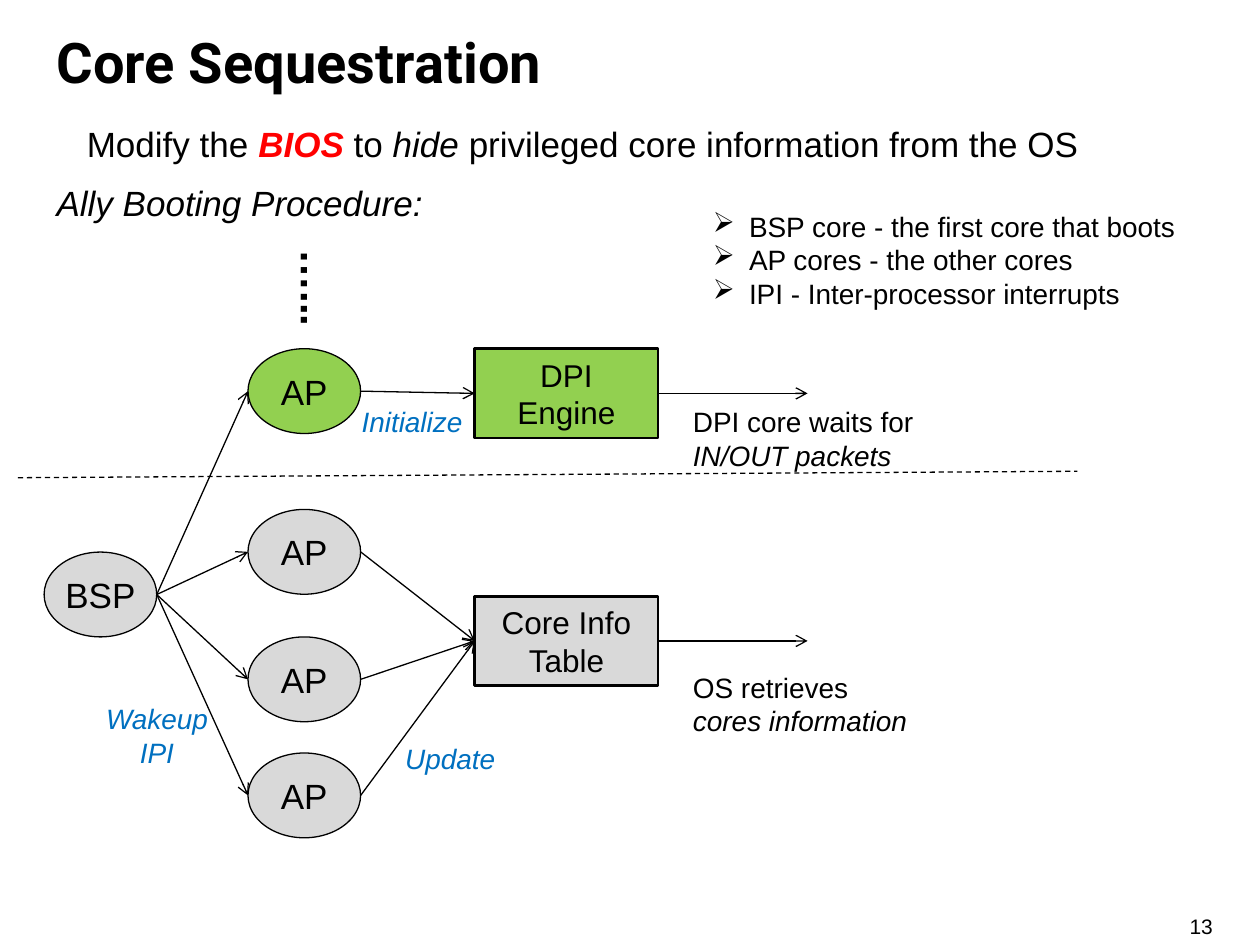
from lxml.etree import SubElement
from pptx import Presentation
from pptx.dml.color import RGBColor
from pptx.enum.dml import MSO_LINE
from pptx.enum.shapes import MSO_CONNECTOR, MSO_SHAPE
from pptx.enum.text import MSO_ANCHOR, PP_ALIGN
from pptx.oxml.ns import qn
from pptx.util import Cm, Pt

COLORS = {"black": "000000", "red": "FF0000", "blue": "0070C0",
          "gray": "D9D9D9", "green": "92D050"}

deck = Presentation()
deck.slide_width, deck.slide_height = Cm(25.4), Cm(19.05)
page = deck.slides.add_slide(deck.slide_layouts[6])


def write(box, lines, size, color="black", align=PP_ALIGN.LEFT, wrap=True):
    """Fill a shape with (text, italic) lines and return its text frame."""
    frame = box.text_frame
    frame.word_wrap = wrap
    for index, (text, italic) in enumerate(lines):
        para = frame.paragraphs[0] if index == 0 else frame.add_paragraph()
        para.text = text
        para.alignment = align
        para.font.name, para.font.size = "Arial", Pt(size)
        para.font.italic = italic
        para.font.color.rgb = RGBColor.from_string(COLORS[color])
    return frame


def add_line(start_x, start_y, end_x, end_y, arrow=True):
    line = page.shapes.add_connector(MSO_CONNECTOR.STRAIGHT, start_x, start_y, end_x, end_y)
    line.line.width = Pt(0.75)
    line.line.color.rgb = RGBColor.from_string(COLORS["black"])
    if arrow:
        SubElement(line.line._get_or_add_ln(), qn("a:tailEnd"), type="arrow")
    else:
        line.line.dash_style = MSO_LINE.DASH
    SubElement(line._element.spPr, qn("a:effectLst"))


# Title
title = page.shapes.add_textbox(Cm(0.89), Cm(0.18), Cm(23.65), Cm(2.11))
frame = write(title, [("Core Sequestration", False)], 32)
frame.vertical_anchor = MSO_ANCHOR.MIDDLE
frame.paragraphs[0].font.name = "Roboto"
frame.paragraphs[0].font.bold = True

# Key message with emphasised words
message = page.shapes.add_textbox(Cm(1.5), Cm(2.34), Cm(24.16), Cm(1.12))
para = write(message, [("", False)], 20).paragraphs[0]
for text, emphasis in [("Modify the ", ""), ("BIOS", "strong"), (" to ", ""), ("hide", "italic"),
                       (" privileged core information from the OS", "")]:
    span = para.add_run()
    span.text = text
    span.font.name, span.font.size = "Arial", Pt(20)
    span.font.bold = emphasis == "strong"
    span.font.italic = emphasis != ""
    span.font.color.rgb = RGBColor.from_string(COLORS["red" if emphasis == "strong" else "black"])

# Bulleted legend
legend = page.shapes.add_textbox(Cm(14.12), Cm(4.09), Cm(11.56), Cm(2.31))
legend_lines = ["BSP core - the first core that boots", "AP cores - the other cores",
                "IPI - Inter-processor interrupts"]
for para in write(legend, [(text, False) for text in legend_lines], 16).paragraphs:
    properties = para._p.get_or_add_pPr()
    properties.set("marL", str(Cm(0.73)))
    properties.set("indent", str(Cm(-0.73)))
    properties.insert(0, properties.makeelement(qn("a:buChar"), {"char": "➢"}))

# Nodes: kind, fill, left, top, lines
OVAL, BLOCK = MSO_SHAPE.OVAL, MSO_SHAPE.RECTANGLE
AP_LEFT, BLOCK_LEFT = 5, 9.57
node_rows = [
    (OVAL, "gray", 0.89, 11.13, ["BSP"]),
    (OVAL, "green", AP_LEFT, 7.03, ["AP"]),
    (OVAL, "gray", AP_LEFT, 10.27, ["AP"]),
    (OVAL, "gray", AP_LEFT, 12.84, ["AP"]),
    (OVAL, "gray", AP_LEFT, 15.18, ["AP"]),
    (BLOCK, "green", BLOCK_LEFT, 7.03, ["DPI", "Engine"]),
    (BLOCK, "gray", BLOCK_LEFT, 12.02, ["Core Info", "Table"]),
]
nodes = []
for kind, fill, left, top, lines in node_rows:
    round_node = kind == OVAL
    width, height = (2.27, 1.71) if round_node else (3.7, 1.8)
    node = page.shapes.add_shape(kind, Cm(left), Cm(top), Cm(width), Cm(height))
    node.shadow.inherit = False
    node.fill.solid()
    node.fill.fore_color.rgb = RGBColor.from_string(COLORS[fill])
    node.line.color.rgb = RGBColor.from_string(COLORS["black"])
    node.line.width = Pt(0.75 if round_node else 1.5)
    frame = write(node, [(text, False) for text in lines], 20 if round_node else 18,
                  align=PP_ALIGN.CENTER, wrap=not round_node)
    frame.vertical_anchor = MSO_ANCHOR.MIDDLE
    if round_node:
        frame.margin_left = frame.margin_right = frame.margin_top = frame.margin_bottom = 0
    nodes.append(node)

# Arrows run from the right edge of one node to the left edge of the next
bsp, dpi_ap, *info_aps, dpi_engine, info_table = nodes
links = [(bsp, ap) for ap in [dpi_ap, *info_aps]]
links += [(dpi_ap, dpi_engine)] + [(ap, info_table) for ap in info_aps]
for source, target in links:
    add_line(source.left + source.width, source.top + source.height // 2,
             target.left, target.top + target.height // 2)
for block in (dpi_engine, info_table):
    middle = block.top + block.height // 2
    add_line(block.left + block.width, middle, Cm(16.28), middle)

# Divider between the hidden core and the visible ones
add_line(Cm(0.36), Cm(9.63), Cm(21.72), Cm(9.5), arrow=False)

# Labels: left, top, width, height, size, color, align, (text, italic) lines
labels = [
    (0.89, 3.53, 9.07, 1.12, 20, "black", PP_ALIGN.LEFT, [("Ally Booting Procedure:", True)]),
    (13.72, 8.03, 6.17, 1.63, 16, "black", PP_ALIGN.LEFT,
     [("DPI core waits for", False), ("IN/OUT packets", True)]),
    (13.72, 13.39, 6.17, 1.63, 16, "black", PP_ALIGN.LEFT,
     [("OS retrieves", False), ("cores information", True)]),
    (1.83, 14.02, 2.67, 1.63, 16, "blue", PP_ALIGN.CENTER, [("Wakeup", True), ("IPI", True)]),
    (7.92, 14.83, 2.59, 0.94, 16, "blue", PP_ALIGN.LEFT, [("Update", True)]),
    (7.04, 8.03, 2.92, 0.94, 16, "blue", PP_ALIGN.LEFT, [("Initialize", True)]),
]
for left, top, width, height, size, color, align, lines in labels:
    label = page.shapes.add_textbox(Cm(left), Cm(top), Cm(width), Cm(height))
    write(label, lines, size, color, align)

# Vertical dots for further AP cores
dots = page.shapes.add_textbox(Cm(5.49), Cm(4.78), Cm(1.55), Cm(2.26))
frame = write(dots, [("…...", False)], 24)
frame.paragraphs[0].font.bold = True
frame._txBody.bodyPr.set("vert", "eaVert")

# Page number
number = page.shapes.add_textbox(Cm(23.98), Cm(18.42), Cm(1.3), Cm(0.51))
frame = write(number, [("13", False)], 12)
frame.margin_left = frame.margin_right = frame.margin_top = frame.margin_bottom = 0

deck.save("out.pptx")
